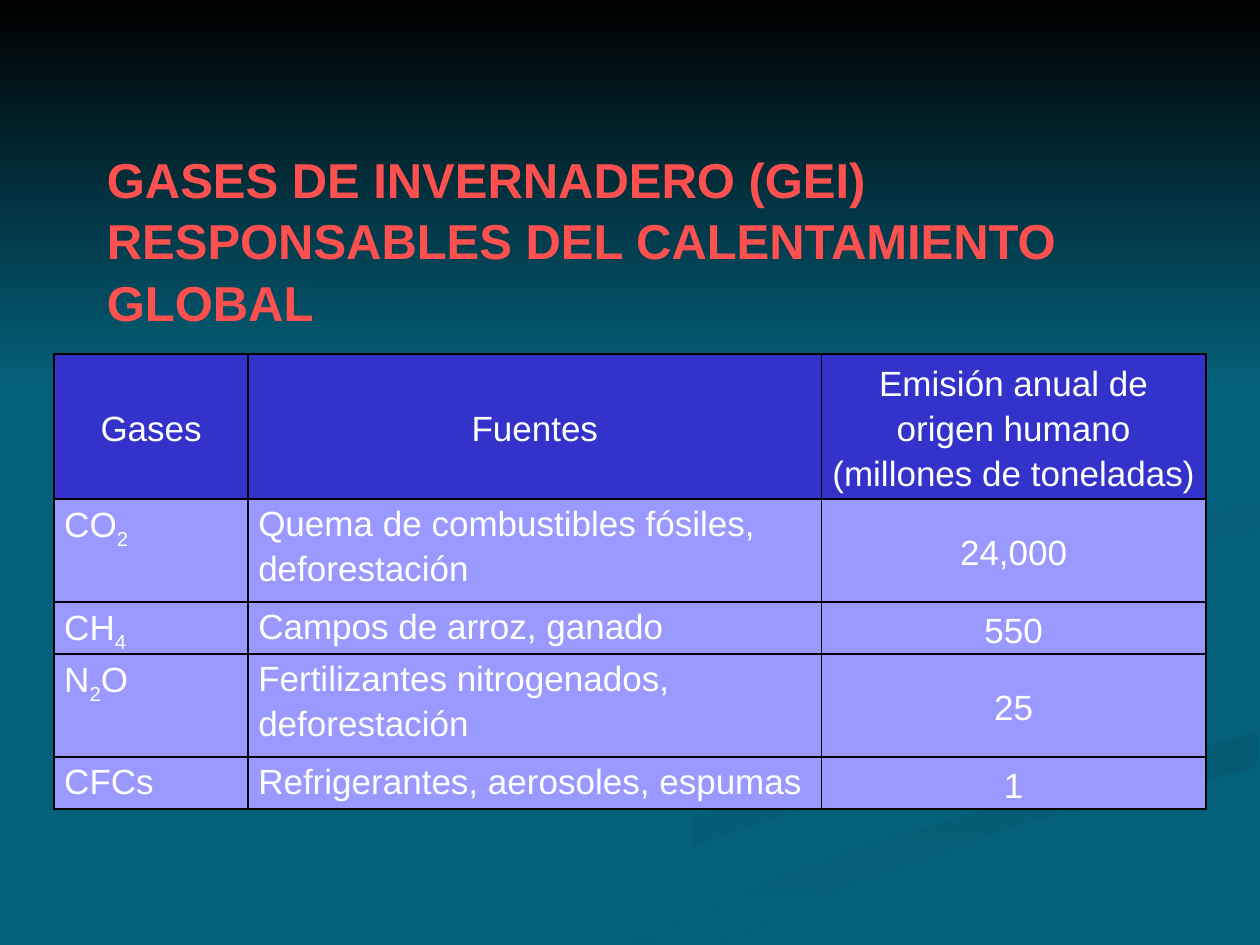
from lxml import etree
from pptx import Presentation
from pptx.dml.color import RGBColor
from pptx.enum.text import MSO_ANCHOR, PP_ALIGN
from pptx.oxml.ns import qn
from pptx.util import Inches, Pt

MIDDLE, TOP = MSO_ANCHOR.MIDDLE, MSO_ANCHOR.TOP
CENTER, LEFT = PP_ALIGN.CENTER, PP_ALIGN.LEFT
SEA, DEEP, BLACK, WHITE = "04617B", "045A72", "000000", "FFFFFF"
BLUE, LILAC, RED = "3333CC", "9999FF", "FF5050"

RIBBONS = [
    (SEA, "045D76", 0, [(3, 7.49), (4.17, 6.9), (5.79, 6.39), (7.86, 5.66),
                        (8, 5.81), (6.23, 6.47), (4.66, 7), (3.61, 7.49)]),
    (DEEP, SEA, 90, [(5.03, 7.49), (6.3, 6.93), (7.64, 6.47), (9.98, 5.81),
                     (9.98, 6.09), (8.21, 6.51), (6.7, 7.02), (5.71, 7.49)]),
    (DEEP, SEA, 45, [(7.82, 4.6), (8.35, 4.3), (9.98, 4.02), (9.98, 4.2),
                     (8.59, 4.43), (8.05, 4.72), (8.26, 4.96)]),
    (BLACK, SEA, 90, [(0, 0), (0, 3.08), (10, 3.08), (10, 0)]),
]
ROWS = [
    ("Gases", "Fuentes",
     "Emisión anual de origen humano (millones de toneladas)"),
    ("CO2", "Quema de combustibles fósiles, deforestación", "24,000"),
    ("CH4", "Campos de arroz, ganado", "550"),
    ("N2O", "Fertilizantes nitrogenados, deforestación", "25"),
    ("CFCs", "Refrigerantes, aerosoles, espumas", "1"),
]
WIDTHS = [1.54, 4.55, 3.05]
HEIGHTS = [1.15] + [0.82, 0.41] * 2
TITLE = "GASES DE INVERNADERO (GEI) RESPONSABLES DEL CALENTAMIENTO GLOBAL"


def tint(code):
    return RGBColor.from_string(code)


class Deck:
    """Holds the text style and the current slide, and adds elements to it."""

    def __init__(self, slide, font="Arial"):
        self.slide, self.font = slide, font
        fill = slide.background.fill
        fill.solid()
        fill.fore_color.rgb = tint(SEA)

    def style(self, run, size, color, bold=False):
        font = run.font
        font.name, font.size, font.bold = self.font, Pt(size), bold
        font.color.rgb = tint(color)

    def ribbon(self, start, end, angle, points):
        spots = [(Inches(x), Inches(y)) for x, y in points]
        path = self.slide.shapes.build_freeform(*spots[0])
        path.add_line_segments(spots[1:], close=True)
        shape = path.convert_to_shape()
        shape.shadow.inherit = False
        shape.line.fill.background()
        shape.fill.gradient()
        shape.fill.gradient_angle = -angle % 360
        for place, color in enumerate((start, end)):
            stop = shape.fill.gradient_stops[place]
            stop.color.rgb, stop.position = tint(color), place

    def title(self, text, left, top, width, height):
        box = self.slide.shapes.add_textbox(
            Inches(left), Inches(top), Inches(width), Inches(height))
        frame = box.text_frame
        frame.word_wrap = True
        frame.margin_top = Inches(0.4)
        frame.text = text
        para = frame.paragraphs[0]
        para.line_spacing = 1.05
        self.style(para.runs[0], 28, RED, True)

    def border(self, cell):
        props = cell._tc.get_or_add_tcPr()
        for side in ("lnL", "lnR", "lnT", "lnB"):
            line = etree.SubElement(props, qn("a:" + side), w=str(Pt(1)))
            fill = etree.SubElement(line, qn("a:solidFill"))
            etree.SubElement(fill, qn("a:srgbClr"), val=BLACK)

    def cell(self, cell, text, color, mid, gas):
        self.border(cell)
        cell.fill.solid()
        cell.fill.fore_color.rgb = tint(color)
        cell.margin_left = cell.margin_right = Inches(0.08)
        cell.margin_top = cell.margin_bottom = 0
        cell.vertical_anchor = MIDDLE if mid else TOP
        para = cell.text_frame.paragraphs[0]
        para.alignment = CENTER if mid else LEFT
        para.line_spacing = 1.15
        for part in text if gas else [text]:
            run = para.add_run()
            run.text = part
            self.style(run, 20, WHITE)
            if gas and part.isdigit():
                run.font._element.set("baseline", "-25000")

    def table(self, rows, left, top, widths, heights):
        grid = self.slide.shapes.add_table(
            len(rows), len(widths), Inches(left), Inches(top),
            Inches(sum(widths)), Inches(sum(heights))).table
        for col, width in zip(grid.columns, widths):
            col.width = Inches(width)
        for r, (row, height) in enumerate(zip(rows, heights)):
            grid.rows[r].height = Inches(height)
            for c, text in enumerate(row):
                head = r == 0
                self.cell(grid.cell(r, c), text, BLUE if head else LILAC,
                          head or c == 2, not head and c == 0)


def main():
    prs = Presentation()
    prs.slide_width, prs.slide_height = Inches(10), Inches(7.5)
    deck = Deck(prs.slides.add_slide(prs.slide_layouts[6]))
    for ribbon in RIBBONS:
        deck.ribbon(*ribbon)
    deck.table(ROWS, 0.43, 2.81, WIDTHS, HEIGHTS)
    deck.title(TITLE, 0.75, 0.76, 8.35, 1.19)
    prs.save("out.pptx")


if __name__ == "__main__":
    main()
